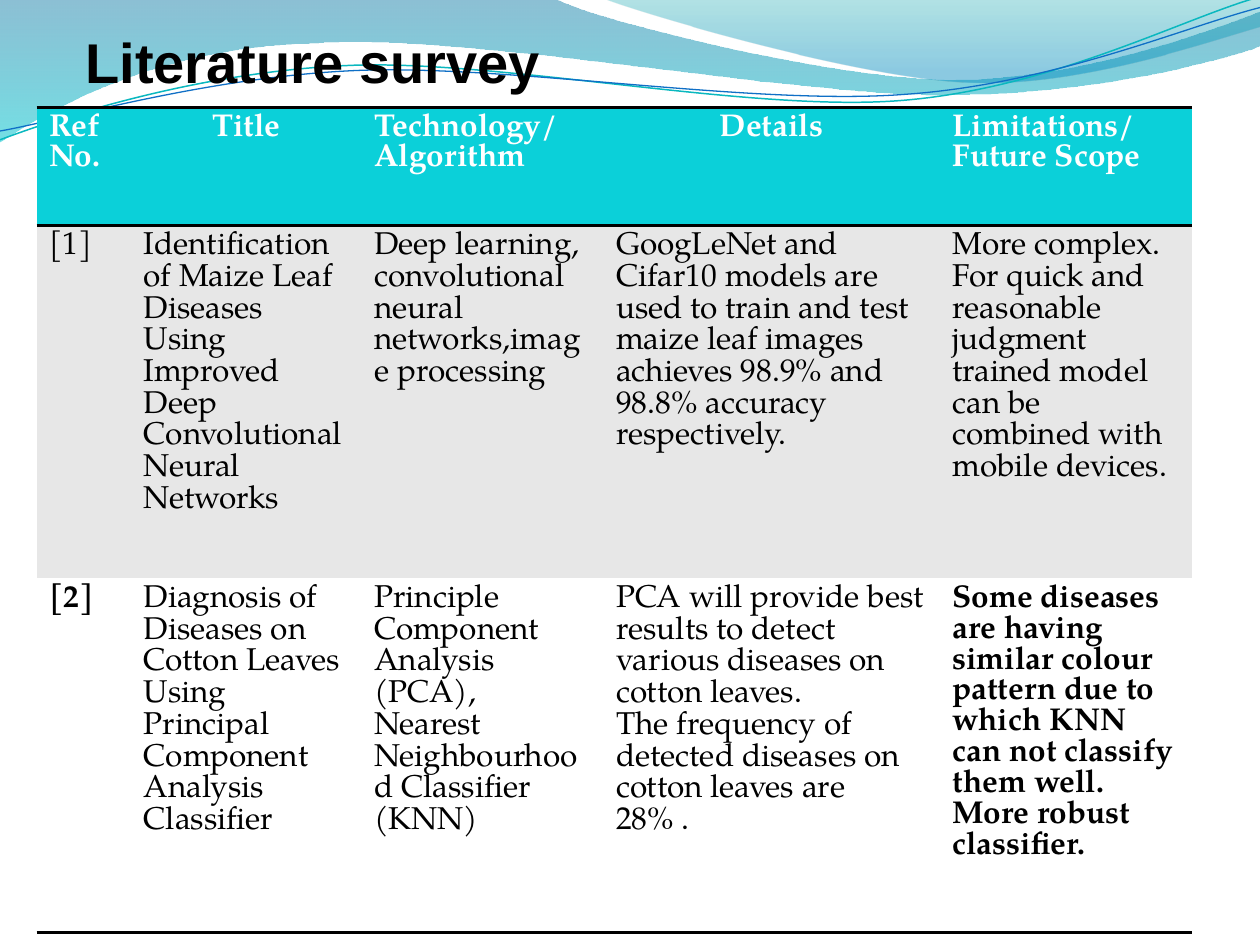
"""Build the literature survey slide with its wave header and table."""
from math import cos, radians, sin

from lxml import etree
from pptx import Presentation
from pptx.dml.color import RGBColor
from pptx.enum.text import PP_ALIGN as Align
from pptx.oxml.ns import qn
from pptx.util import Inches, Pt

color = RGBColor.from_string


def draw_wave(slide, start, segments, closed):
    points = [start]
    for segment in segments:
        points.extend(zip(segment[::2], segment[1::2]))
    corners = [(Inches(x), Inches(y)) for x, y in points]
    builder = slide.shapes.build_freeform(*corners[0], scale=1.0)
    builder.add_line_segments(corners[1:], close=closed)
    shape = builder.convert_to_shape()
    shape.shadow.inherit = False
    lines = iter(list(shape.element.iter(qn("a:lnTo"))))
    for segment in segments:
        first = next(lines)
        if len(segment) == 6:
            first.tag
            curve = etree.Element(qn("a:cubicBezTo"))
            first.addprevious(curve)
            for line in (first, next(lines), next(lines)):
                curve.append(line[0])
                line.getparent().remove(line)
    return shape


def set_border(cell, side, visible):
    properties = cell._tc.get_or_add_tcPr()
    line = etree.SubElement(properties, qn(f"a:{side}"), w=str(Pt(2) if visible else 0))
    if visible:
        fill = etree.SubElement(line, qn("a:solidFill"))
        etree.SubElement(fill, qn("a:srgbClr"), val="000000")
    else:
        etree.SubElement(line, qn("a:noFill"))


presentation = Presentation()
presentation.slide_width = Inches(10)
presentation.slide_height = Inches(7.5)
slide = presentation.slides.add_slide(presentation.slide_layouts[6])

filled_waves = [
    ((0, 0),
     [(4.4, -0.01), (4.76, 0.17, 6.64, 0.63, 7.58, 0.63),
      (8.53, 0.63, 9.58, 0.26, 10, 0.09), (10.01, 0.36),
      (9.83, 0.44, 8.7, 0.76, 7.46, 0.75), (6.22, 0.75, 3.82, 0.28, 2.57, 0.34),
      (1.29, 0.36, 0.46, 0.83, -0.01, 1.13), (0, 0)],
     [(0, "0074A1", 45), (1, "00C6CF", 55)]),
    ((4.79, -0.01),
     [(5.09, 0.11, 6.82, 0.62, 7.69, 0.65), (8.56, 0.69, 9.61, 0.32, 10, 0.21),
      (10, 0), (4.79, -0.01)],
     [(0, "00A1A9", 30), (0.8, "008BBF", 45)]),
]
for start, segments, stops in filled_waves:
    shape = draw_wave(slide, start, segments, True)
    shape.line.fill.background()
    shape.fill.gradient()
    shape.fill.gradient_angle = 270
    for stop, (position, shade, _) in zip(shape.fill.gradient_stops, stops):
        stop.position = position
        stop.color.rgb = color(shade)
    shades = shape.element.spPr.iter(qn("a:srgbClr"))
    for shade, (_, _, opacity) in zip(list(shades), stops):
        etree.SubElement(shade, qn("a:alpha"), val=str(opacity * 1000))

wave_lines = [
    ((0, 1.11),
     [(0.48, 0.93, 1.58, 0.57, 2.77, 0.52), (3.95, 0.47, 5.93, 0.89, 7.13, 0.8),
      (8.33, 0.71, 9.38, 0.15, 9.98, -0.02)], "0AB8BF", 0.85),
    ((0, 1.04),
     [(0.47, 0.96, 1.64, 0.61, 2.83, 0.56), (4.03, 0.51, 5.97, 0.84, 7.17, 0.75),
      (8.36, 0.67, 9.41, 0.21, 10, 0.06)], "0F6FC6", 0.75),
]
for start, segments, shade, width in wave_lines:
    shape = draw_wave(slide, start, segments, False)
    shape.fill.background()
    shape.line.color.rgb = color(shade)
    shape.line.width = Pt(width)

title = slide.shapes.add_textbox(Inches(0.58), Inches(0.17), Inches(8.58), Inches(0.64))
title.text_frame.word_wrap = True
title.text_frame.text = "Literature survey"
title_font = title.text_frame.paragraphs[0].runs[0].font
title_font.name, title_font.size, title_font.bold = "Arial", Pt(32), True
title_font.color.rgb = color("000000")

rows = [
    ["Ref\nNo.", "Title", "Technology/\nAlgorithm", "Details", "Limitations/Future Scope"],
    ["[1]",
     "Identification of Maize Leaf Diseases Using\n"
     "Improved Deep Convolutional Neural Networks",
     "Deep learning,\nconvolutional neural networks,image processing",
     "GoogLeNet and Cifar10 models are used to train and test maize leaf images "
     "achieves 98.9% and 98.8% accuracy respectively.",
     "More complex.\nFor quick and reasonable judgment trained model can be combined "
     "with mobile devices."],
    ["[2]",
     "Diagnosis of Diseases on Cotton Leaves Using\n"
     "Principal Component Analysis Classifier",
     "Principle Component Analysis\n(PCA), Nearest Neighbourhood Classifier (KNN)",
     "PCA will provide best results to detect various diseases on cotton leaves.\n"
     "The frequency of detected diseases on cotton leaves are 28% .",
     "Some diseases are having similar colour pattern due to which KNN can not "
     "classify them well.\nMore robust classifier."],
]
column_widths = [0.75, 1.83, 1.92, 2.67, 2]
row_heights = [0.94, 2.8, 2.81]
row_fills = ["0BD0D9", "E7E7E7", "FFFFFF"]
bold_columns = [range(5), [], [0, 4]]

frame = slide.shapes.add_table(3, 5, Inches(0.29), Inches(0.85),
                               Inches(sum(column_widths)), Inches(sum(row_heights)))
table = frame.table
table.first_row = table.horz_banding = False
for style in frame.element.iter(qn("a:tableStyleId")):
    style.text = "{2D5ABB26-0587-4C30-8999-92F81FD0307C}"
for column, width in zip(table.columns, column_widths):
    column.width = Inches(width)
for row, height in zip(table.rows, row_heights):
    row.height = Inches(height)

for row_index, texts in enumerate(rows):
    for column_index, text in enumerate(texts):
        cell = table.cell(row_index, column_index)
        cell.text_frame.text = text
        for paragraph in cell.text_frame.paragraphs:
            if text in ("Title", "Details"):
                paragraph.alignment = Align.CENTER
            font = paragraph.runs[0].font
            font.name, font.size = "TeX Gyre Pagella", Pt(18)
            font.bold = column_index in bold_columns[row_index]
            font.color.rgb = color("000000" if row_index else "FFFFFF")
        for side, visible in (("lnL", False), ("lnR", False),
                              ("lnT", row_index < 2), ("lnB", row_index != 1)):
            set_border(cell, side, visible)
        cell.fill.solid()
        cell.fill.fore_color.rgb = color(row_fills[row_index])
table.cell(2, 3).margin_right = Inches(0.12)

presentation.save("out.pptx")
